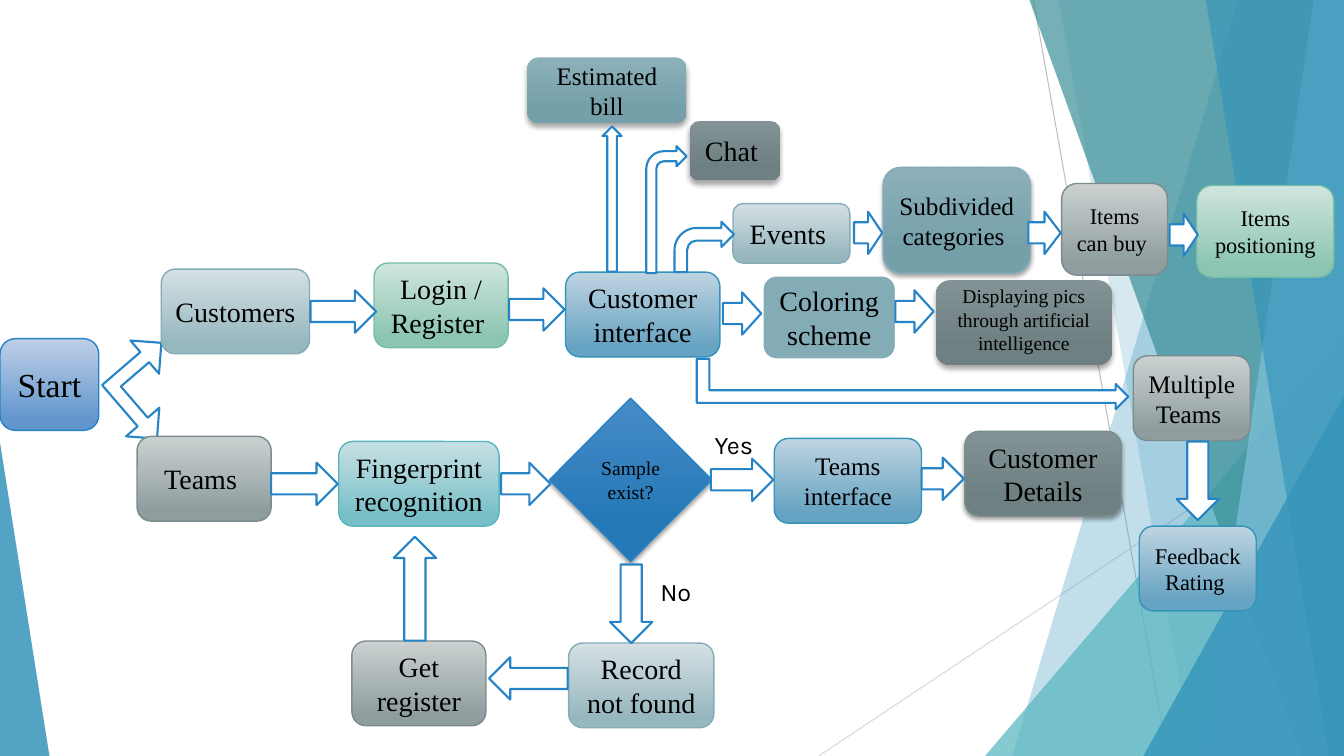
from dataclasses import dataclass

from lxml import etree
from pptx import Presentation
from pptx.dml.color import RGBColor
from pptx.enum.shapes import MSO_CONNECTOR, MSO_SHAPE
from pptx.enum.text import MSO_ANCHOR, PP_ALIGN
from pptx.oxml.ns import qn
from pptx.util import Inches, Pt

STRAIGHT = MSO_CONNECTOR.STRAIGHT
TRIANGLE = MSO_SHAPE.RIGHT_TRIANGLE
PEAK = MSO_SHAPE.ISOSCELES_TRIANGLE
ROUNDED = MSO_SHAPE.FLOWCHART_ALTERNATE_PROCESS
DECISION = MSO_SHAPE.FLOWCHART_DECISION
FORK = MSO_SHAPE.LEFT_UP_ARROW
RIGHT = MSO_SHAPE.RIGHT_ARROW
BENT = MSO_SHAPE.BENT_ARROW
BENT_UP = MSO_SHAPE.BENT_UP_ARROW
CENTER, LEFT = PP_ALIGN.CENTER, PP_ALIGN.LEFT
MIDDLE, TOP = MSO_ANCHOR.MIDDLE, MSO_ANCHOR.TOP


@dataclass(frozen=True)
class Theme:
    font: str = "Times New Roman"
    label_font: str = "Karla"
    ink: str = "000000"
    white: str = "FFFFFF"
    arrow: str = "2683C6"
    blue: str = "3494BA"
    teal: str = "58B6C0"
    deep_teal: str = "3A8F98"
    sky: str = "7FC1DB"
    start: int = 24
    large: int = 20
    medium: int = 18
    small: int = 16
    tiny: int = 14


THEME = Theme()

# Box style: fill colours from top to bottom, last gradient stop, outline, shadow
STYLES = {
    "start": (("BFD0E7", "6296CD"), 0.88, "2683C6", False),
    "mist": (("D4E0E3", "97B7BF"), 0.88, "84ACB6", False),
    "grey": (("CBD1D1", "8F9D9E"), 0.88, "7A8C8E", False),
    "teal": (("C7E1E5", "78BFC7"), 0.88, "58B6C0", False),
    "green": (("CFE5DE", "8CC5B2"), 0.88, "75BDA7", False),
    "blue": (("BFD4E1", "67A3C2"), 0.88, "3494BA", False),
    "decision": (("478BC9", "2378B5"), 0.78, "2683C6", True),
    "slate": (("839395", "6F8082"), 0.78, "7A8C8E", True),
    "steel": (("8CB0BA", "75A0AA"), 0.78, "84ACB6", True),
    "slate plain": (("839395", "6F8082"), 0.78, None, True),
    "steel plain": (("8CB0BA", "75A0AA"), 0.78, None, True),
    "flat": (("84ACB6",), 1, "FFFFFF", False),
}


def paint(shape, *colors, stop=1, alpha=100, line=None, width=1, shadow=False):
    """Fill with one colour or a downward gradient, then set outline and shadow."""
    if len(colors) == 1:
        shape.fill.solid()
        shape.fill.fore_color.rgb = RGBColor.from_string(colors[0])
        if alpha < 100:
            color = shape._element.spPr.find(qn("a:solidFill"))[0]
            etree.SubElement(color, qn("a:alpha"), val=str(alpha * 1000))
    else:
        shape.fill.gradient()
        shape.fill.gradient_angle = 270
        for mark, color, place in zip(shape.fill.gradient_stops, colors, (0, stop)):
            mark.color.rgb = RGBColor.from_string(color)
            mark.position = place
    if line:
        shape.line.color.rgb = RGBColor.from_string(line)
        shape.line.width = Pt(width)
    else:
        shape.line.fill.background()
    shape.shadow.inherit = False
    if shadow:
        blur, distance = (3, 2) if line else (4, 3)
        effects = shape._element.spPr.find(qn("a:effectLst"))
        outer = etree.SubElement(
            effects, qn("a:outerShdw"), blurRad=str(Pt(blur)), dist=str(Pt(distance)),
            dir="5400000", algn="ctr", rotWithShape="0")
        color = etree.SubElement(outer, qn("a:srgbClr"), val="000000")
        etree.SubElement(color, qn("a:alpha"), val="35000")


def write(shape, text, size, font=THEME.font, align=CENTER, anchor=MIDDLE, wrap=True):
    frame = shape.text_frame
    frame.word_wrap = wrap
    frame.vertical_anchor = anchor
    for index, words in enumerate(text.split("\n")):
        para = frame.add_paragraph() if index else frame.paragraphs[0]
        para.alignment = align
        span = para.add_run()
        span.text = words
        span.font.name = font
        span.font.size = Pt(size)
        span.font.color.rgb = RGBColor.from_string(THEME.ink)


deck = Presentation()
deck.slide_width, deck.slide_height = Inches(13.33), Inches(7.5)
page = deck.slides.add_slide(deck.slide_layouts[6])
shapes = page.shapes

# Thin lines behind the facets
for x1, y1, x2, y2, color in [(10.25, 0, 11.58, 7.5, "BFBFBF"),
                              (13.33, 4.03, 8.12, 7.5, "D9D9D9")]:
    ray = shapes.add_connector(STRAIGHT, Inches(x1), Inches(y1), Inches(x2), Inches(y2))
    ray.line.color.rgb = RGBColor.from_string(color)
    ray.line.width = Pt(0.75)
    etree.SubElement(ray._element.spPr, qn("a:effectLst"))

# Facets run to the right edge: top of slant, left end, height of top, colour, opacity
for top_x, bottom_x, top_y, color, alpha in [
    (12.28, 10.04, 0, THEME.blue, 30),
    (10.5, 11.83, 0, THEME.blue, 20),
    (13.33, 9.77, 3.33, THEME.teal, 72),
    (10.21, 12.91, 0, THEME.deep_teal, 70),
    (13.03, 11.92, 0, THEME.sky, 70),
    (11.96, 13.18, 0, THEME.blue, 65),
    (13.33, 11.34, 3.93, THEME.blue, 80),
]:
    if top_y:
        facet = shapes.add_shape(PEAK, Inches(bottom_x), Inches(top_y),
                                 Inches(13.33 - bottom_x), Inches(7.5 - top_y))
        facet.adjustments[0] = 1
    else:
        outline = shapes.build_freeform(Inches(top_x), 0)
        outline.add_line_segments([(Inches(13.33), 0), (Inches(13.33), Inches(7.5)),
                                   (Inches(bottom_x), Inches(7.5))], close=True)
        facet = outline.convert_to_shape()
    paint(facet, color, alpha=alpha)
corner = shapes.add_shape(TRIANGLE, 0, Inches(4.39), Inches(0.49), Inches(3.11))
paint(corner, THEME.blue, alpha=85)

fork = shapes.add_shape(FORK, Inches(0.99), Inches(3.41), Inches(0.87), Inches(0.91))
fork.rotation = 139.3
fork.adjustments[0] = 0.152
paint(fork, THEME.white, line=THEME.arrow, width=1.5)

# Steps: text, style, left, top, width, height, type size
for text, style, left, top, width, height, size in [
    ("Start ", "start", 0, 3.36, 0.98, 0.91, THEME.start),
    ("Customers ", "mist", 1.6, 2.67, 1.47, 0.84, THEME.large),
    ("Teams ", "grey", 1.36, 4.33, 1.33, 0.84, THEME.large),
    ("Fingerprint recognition", "teal", 3.36, 4.38, 1.59, 0.84, THEME.large),
    ("Login /\nRegister ", "green", 3.71, 2.61, 1.33, 0.84, THEME.large),
    ("Customer interface", "blue", 5.61, 2.7, 1.53, 0.84, THEME.large),
    ("Sample exist?", "decision", 5.45, 3.95, 1.61, 1.62, THEME.tiny),
    ("Get register", "grey", 3.49, 6.36, 1.33, 0.84, THEME.large),
    ("Record not found", "mist", 5.64, 6.38, 1.44, 0.84, THEME.large),
    ("Customer Details", "slate", 9.57, 4.28, 1.55, 0.84, THEME.large),
    ("Teams interface", "blue", 7.68, 4.35, 1.46, 0.84, THEME.medium),
    ("Multiple Teams ", "grey", 11.24, 3.53, 1.16, 0.84, THEME.medium),
    ("Coloring scheme", "flat", 7.56, 2.73, 1.33, 0.84, THEME.large),
    ("Events ", "mist", 7.27, 2.02, 1.16, 0.59, THEME.large),
    ("Subdivided categories ", "steel", 8.76, 1.66, 1.46, 1.05, THEME.medium),
    ("Items can buy ", "grey", 10.53, 1.82, 1.05, 0.91, THEME.small),
    ("Items positioning", "green", 11.87, 1.84, 1.36, 0.91, THEME.small),
    ("Feedback\nRating ", "blue", 11.3, 5.22, 1.16, 0.84, THEME.small),
    ("Chat ", "slate plain", 6.84, 1.2, 0.9, 0.59, THEME.large),
    ("Estimated bill", "steel plain", 5.23, 0.57, 1.58, 0.65, THEME.medium),
    ("Displaying pics through artificial intelligence", "slate plain",
     9.28, 2.78, 1.75, 0.84, THEME.tiny),
]:
    kind = DECISION if style == "decision" else ROUNDED
    colors, stop, line, shadow = STYLES[style]
    box = shapes.add_shape(kind, Inches(left), Inches(top), Inches(width), Inches(height))
    paint(box, *colors, stop=stop, line=line, width=2 if style == "flat" else 1, shadow=shadow)
    write(box, text, size)
box.text_frame.margin_bottom = Inches(0.11)

# Block arrows: kind, left, top, width, height, rotation
for kind, left, top, width, height, turn in [
    (RIGHT, 2.69, 4.59, 0.66, 0.42, 0),
    (RIGHT, 3.08, 2.88, 0.65, 0.42, 0),
    (RIGHT, 5.05, 2.86, 0.55, 0.42, 0),
    (RIGHT, 4.97, 4.59, 0.49, 0.42, 0),
    (RIGHT, 5.87, 5.78, 0.78, 0.42, 90),
    (RIGHT, 7.05, 4.55, 0.62, 0.42, 0),
    (RIGHT, 4.85, 6.52, 0.78, 0.42, 180),
    (RIGHT, 9.14, 4.54, 0.42, 0.42, 0),
    (RIGHT, 3.6, 5.63, 1.03, 0.42, 270),
    (BENT, 6.69, 2.2, 0.59, 0.5, 0),
    (RIGHT, 8.47, 2.1, 0.28, 0.42, 0),
    (RIGHT, 10.2, 2.1, 0.32, 0.42, 0),
    (RIGHT, 11.6, 2.12, 0.28, 0.42, 0),
    (RIGHT, 7.17, 2.9, 0.38, 0.42, 0),
    (RIGHT, 8.88, 2.88, 0.38, 0.42, 0),
    (BENT_UP, 8.8, 1.67, 0.5, 4.28, 90),
    (RIGHT, 11.49, 4.56, 0.78, 0.42, 90),
    (BENT, 6.41, 1.45, 0.4, 1.26, 0),
    (RIGHT, 5.35, 1.88, 1.44, 0.19, 270),
]:
    arrow = shapes.add_shape(kind, Inches(left), Inches(top), Inches(width), Inches(height))
    arrow.rotation = turn
    paint(arrow, THEME.white, line=THEME.arrow, width=1.5)

for text, left, top, width in [("Yes", 6.99, 4.21, 0.68), ("No", 6.45, 5.67, 0.62)]:
    label = shapes.add_textbox(Inches(left), Inches(top), Inches(width), Inches(0.4))
    write(label, text, THEME.medium, font=THEME.label_font, align=LEFT, anchor=TOP, wrap=False)

deck.save("out.pptx")
